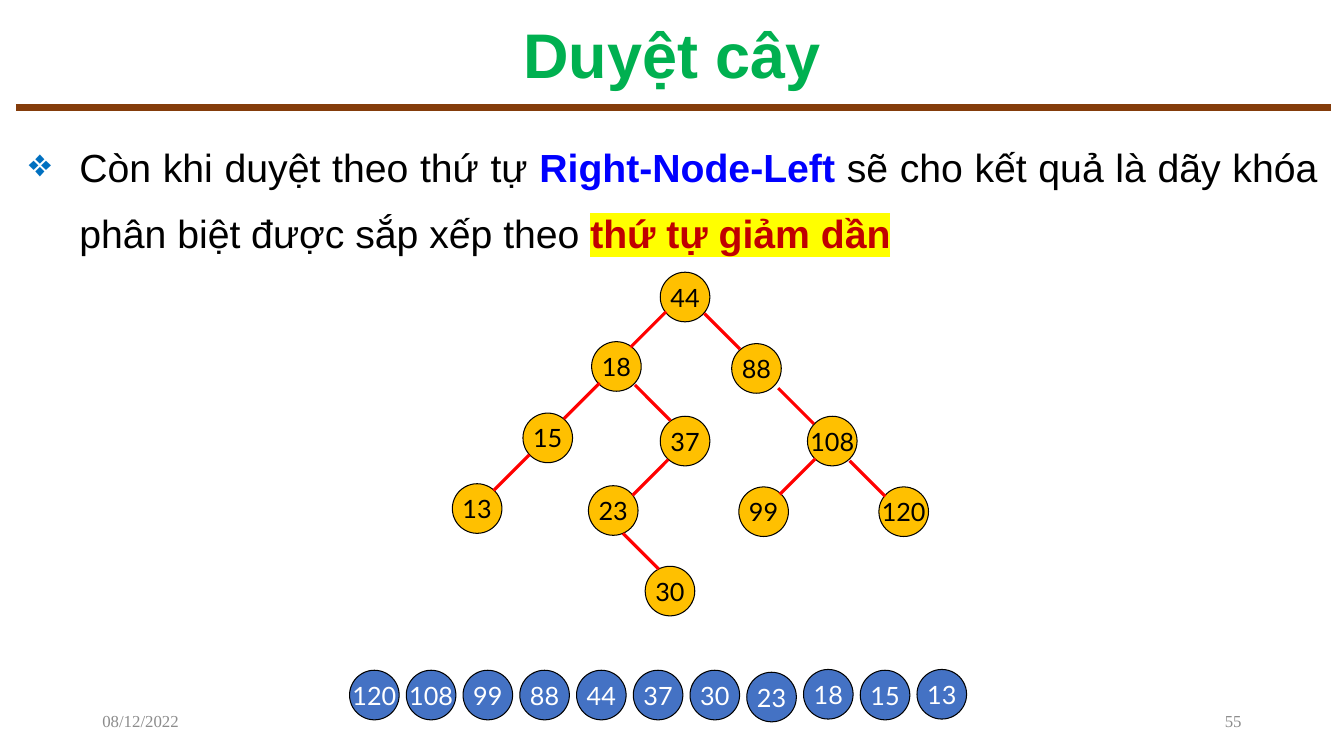
from lxml import etree
from pptx import Presentation
from pptx import util as u
from pptx.dml.color import RGBColor
from pptx.enum import shapes, text
from pptx.oxml import ns

COLORS = {
    "title": "00B050", "rule": "843C0B", "bullet": "0070C0", "black": "000000",
    "order": "0000FF", "descending": "C00000", "highlight": "FFFF00",
    "node": "FFC000", "edge": "FF0000", "result": "4472C4",
    "white": "FFFFFF", "footer": "8C8C8C",
}
NODE_SIZE = 1.25
EDGE_SPAN = 0.9
TREE_NODES = [
    ("44", 16.64, 6.86), ("18", 14.91, 8.61), ("37", 16.64, 10.49),
    ("15", 13.18, 10.41), ("13", 11.4, 12.19), ("88", 18.44, 8.66),
    ("23", 14.83, 12.24), ("108", 20.35, 10.49), ("120", 22.15, 12.27),
    ("99", 18.62, 12.27), ("30", 16.26, 14.27),
]
LEFT_EDGES = [(16.79, 7.85), (15.11, 9.65), (13.34, 11.46), (16.84, 11.58), (20.55, 11.56)]
RIGHT_EDGES = [(17.75, 7.9), (19.61, 9.78), (21.41, 11.61), (15.7, 13.44), (16, 9.7)]
RESULT_KEYS = ["120", "108", "99", "88", "44", "37", "30", "23", "18", "15", "13"]
RESULT_LEFT, RESULT_TOP, RESULT_STEP = 8.81, 16.89, 1.43
RESULT_SHIFTS = {"23": 0.05, "18": -0.02, "13": -0.02}


def rgb(name):
    return RGBColor.from_string(COLORS[name])


def add_element(parent, tag, **attributes):
    return etree.SubElement(parent, ns.qn(tag), attributes)


class SlideBuilder:
    def __init__(self, slide):
        self.slide = slide

    def style(self, font, name, size, color, bold=False):
        font.name = name
        font.size = u.Pt(size)
        font.bold = bold
        font.color.rgb = rgb(color)

    def title(self, words, left, top, width, height):
        shape = self.slide.shapes.title
        shape.left, shape.top = u.Cm(left), u.Cm(top)
        shape.width, shape.height = u.Cm(width), u.Cm(height)
        frame = shape.text_frame
        frame.text = words
        frame.vertical_anchor = text.MSO_ANCHOR.MIDDLE
        paragraph = frame.paragraphs[0]
        paragraph.alignment = text.PP_ALIGN.CENTER
        paragraph.line_spacing = 0.9
        self.style(paragraph.font, "Arial", 45, "title", True)

    def text_box(self, left, top, width, height):
        shape = self.slide.shapes.add_textbox(
            u.Cm(left), u.Cm(top), u.Cm(width), u.Cm(height))
        shape.text_frame.word_wrap = True
        return shape.text_frame

    def bullet_text(self, runs, left, top, width, height):
        paragraph = self.text_box(left, top, width, height).paragraphs[0]
        properties = paragraph._p.get_or_add_pPr()
        properties.set("marL", str(u.Cm(1.27)))
        properties.set("indent", str(u.Cm(-1.27)))
        bullet_color = add_element(properties, "a:buClr")
        add_element(bullet_color, "a:srgbClr", val=COLORS["bullet"])
        add_element(properties, "a:buChar", char="❖")
        paragraph.alignment = text.PP_ALIGN.JUSTIFY
        paragraph.line_spacing = 1.4
        for words, color, bold, highlight in runs:
            run = paragraph.add_run()
            run.text = words
            self.style(run.font, "Arial", 28, color, bold)
            if highlight:
                run_properties = run._r.get_or_add_rPr()
                marker = add_element(run_properties, "a:highlight")
                add_element(marker, "a:srgbClr", val=COLORS[highlight])
                run_properties.find(ns.qn("a:solidFill")).addnext(marker)

    def footer(self, words, left, alignment):
        frame = self.text_box(left, 17.65, 7.62, 1.02)
        frame.vertical_anchor = text.MSO_ANCHOR.MIDDLE
        paragraph = frame.paragraphs[0]
        paragraph.text = words
        paragraph.alignment = alignment
        self.style(paragraph.font, "Times New Roman", 12, "footer")

    def line(self, x1, y1, x2, y2, color, width):
        connector = self.slide.shapes.add_connector(
            shapes.MSO_CONNECTOR.STRAIGHT, u.Cm(x1), u.Cm(y1), u.Cm(x2), u.Cm(y2))
        connector.line.color.rgb = rgb(color)
        connector.line.width = u.Pt(width)
        add_element(connector._element.spPr, "a:effectLst")

    def node(self, key, left, top, fill, color):
        shape = self.slide.shapes.add_shape(
            shapes.MSO_SHAPE.OVAL, u.Cm(left), u.Cm(top), u.Cm(NODE_SIZE), u.Cm(NODE_SIZE))
        shape.shadow.inherit = False
        shape.fill.solid()
        shape.fill.fore_color.rgb = rgb(fill)
        shape.line.color.rgb = rgb("black")
        shape.line.width = u.Pt(0.75)
        frame = shape.text_frame
        frame.word_wrap = False
        frame.vertical_anchor = text.MSO_ANCHOR.MIDDLE
        paragraph = frame.paragraphs[0]
        paragraph.text = key
        paragraph.alignment = text.PP_ALIGN.CENTER
        self.style(paragraph.font, "Lato", 18, color)


def main():
    presentation = Presentation()
    presentation.slide_width = u.Cm(33.87)
    presentation.slide_height = u.Cm(19.05)
    builder = SlideBuilder(presentation.slides.add_slide(presentation.slide_layouts[5]))

    builder.line(0.4, 2.7, 33.55, 2.7, "rule", 5)
    builder.title("Duyệt cây", 2.33, 0.43, 29.21, 2.06)
    builder.bullet_text([
        ("Còn khi duyệt theo thứ tự ", "black", False, None),
        ("Right-Node-Left", "order", True, None),
        (" sẽ cho kết quả là dãy khóa phân biệt được sắp xếp theo ", "black", False, None),
        ("thứ tự giảm dần", "descending", True, "highlight"),
    ], 0.48, 3.02, 32.97, 15.01)
    builder.footer("55", 23.92, text.PP_ALIGN.RIGHT)
    builder.footer("08/12/2022", 2.33, text.PP_ALIGN.LEFT)

    for key, left, top in TREE_NODES:
        builder.node(key, left, top, "node", "black")
    for edges, direction in ((LEFT_EDGES, -1), (RIGHT_EDGES, 1)):
        for x, y in edges:
            builder.line(x, y, x + direction * EDGE_SPAN, y + EDGE_SPAN, "edge", 2.25)
    for index, key in enumerate(RESULT_KEYS):
        top = RESULT_TOP + RESULT_SHIFTS.get(key, 0)
        builder.node(key, RESULT_LEFT + index * RESULT_STEP, top, "result", "white")

    presentation.save("out.pptx")


if __name__ == "__main__":
    main()
